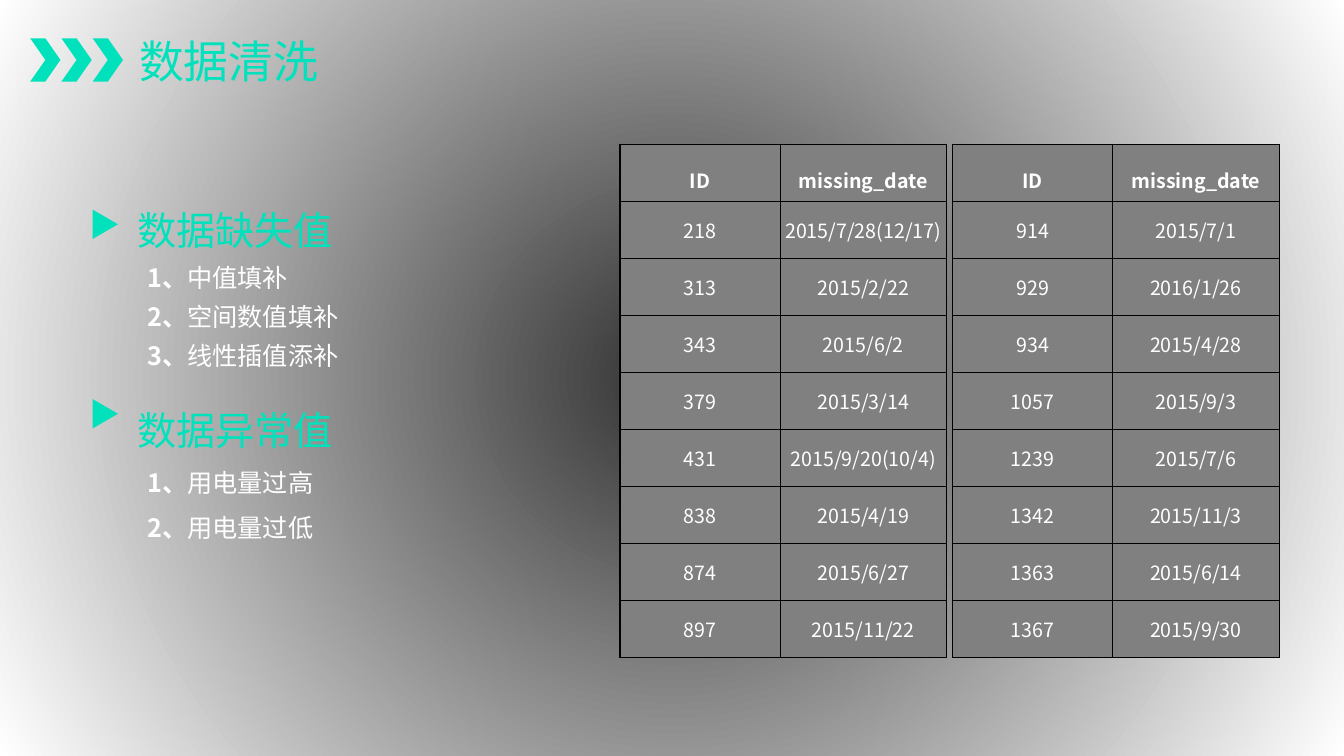
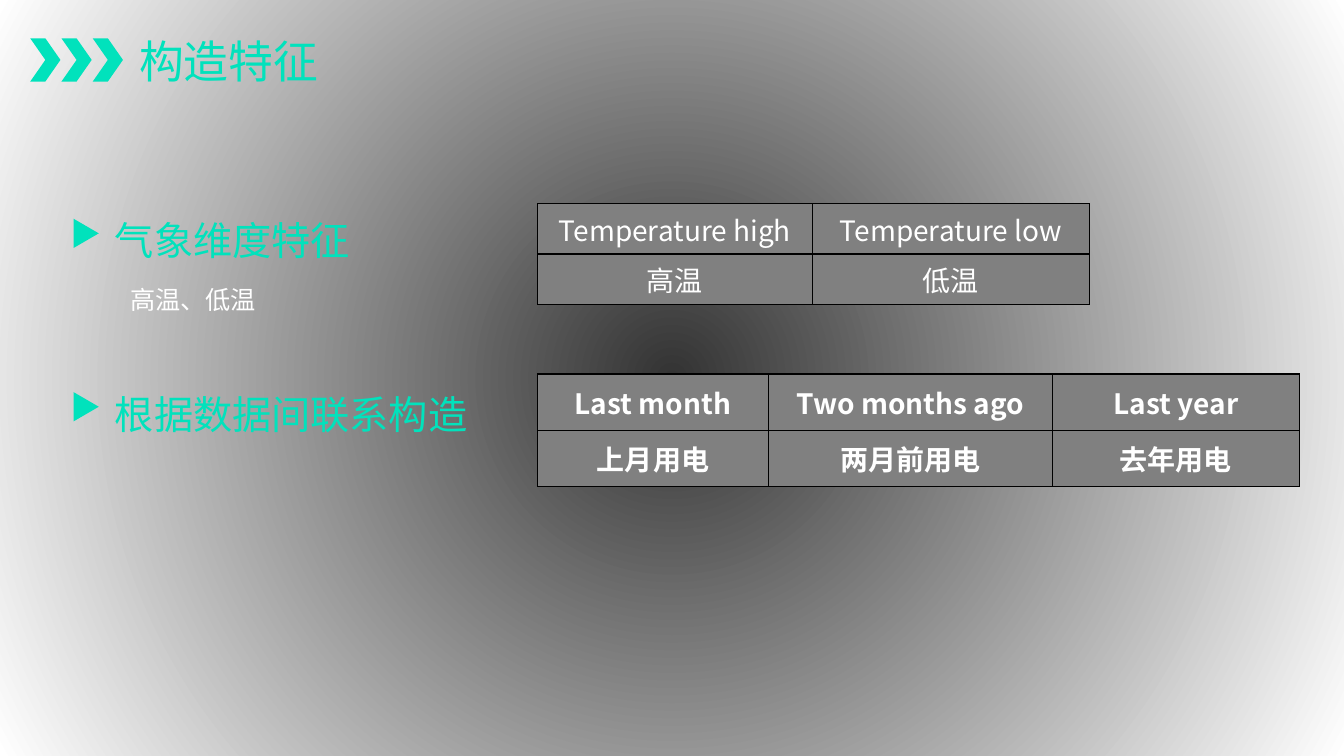
"""Build two slides on data cleaning and feature construction."""
from lxml.etree import SubElement
from pptx import Presentation
from pptx.dml.color import RGBColor
from pptx.enum.shapes import MSO_SHAPE as Preset
from pptx.enum.text import MSO_ANCHOR as Anchor, MSO_AUTO_SIZE as AutoSize, PP_ALIGN as Align
from pptx.oxml import parse_xml
from pptx.oxml.ns import nsdecls, qn
from pptx.util import Pt

COLUMNS, ROWS = 160, 90
UNIT = Pt(6)
ACCENT, WHITE, GRAY = "01E2BC", "FFFFFF", "808080"
HEADING_FONT, BODY_FONT = "Noto Sans CJK JP", "Noto Sans CJK SC"
color = RGBColor.from_string


def grid(*lengths):
    return [round(length * UNIT) for length in lengths]


def style(paragraph, size, hex_color, font_name, align=Align.LEFT, spacing=1.0, indent=0):
    properties = paragraph._p.get_or_add_pPr()
    properties.set("marL", str(grid(indent)[0]))
    properties.set("indent", "0")
    SubElement(properties, qn("a:buNone"))
    paragraph.alignment = align
    paragraph.line_spacing = spacing
    paragraph.space_before = Pt(0)
    font = paragraph.font
    font.size, font.name = Pt(size), font_name
    font.color.rgb = color(hex_color)
    SubElement(properties.find(qn("a:defRPr")), qn("a:ea"), typeface=font_name)


missing_columns = dict(top=17.16, widths=(19.08, 19.8), row=6.79, size=14,
                       bold_rows=1, header_spacing=1.5)
slides = [
    dict(
        title="数据清洗",
        sections=[
            dict(marker=(10.8, 25.2), text=(16.32, 24.78), heading="数据缺失值",
                 spacing=28, indent=1.2,
                 items=[("1、", "中值填补"), ("2、", "空间数值填补"), ("3、", "线性插值添补")]),
            dict(marker=(10.8, 47.76), text=(16.32, 48.6), heading="数据异常值",
                 spacing=32, indent=1.2,
                 items=[("1、", "用电量过高"), ("2、", "用电量过低")]),
        ],
        tables=[
            dict(missing_columns, left=73.8, cells=[
                ("ID", "missing_date"), ("218", "2015/7/28(12/17)"), ("313", "2015/2/22"),
                ("343", "2015/6/2"), ("379", "2015/3/14"), ("431", "2015/9/20(10/4)"),
                ("838", "2015/4/19"), ("874", "2015/6/27"), ("897", "2015/11/22")]),
            dict(missing_columns, left=113.4, cells=[
                ("ID", "missing_date"), ("914", "2015/7/1"), ("929", "2016/1/26"),
                ("934", "2015/4/28"), ("1057", "2015/9/3"), ("1239", "2015/7/6"),
                ("1342", "2015/11/3"), ("1363", "2015/6/14"), ("1367", "2015/9/30")]),
        ],
    ),
    dict(
        title="构造特征",
        sections=[
            dict(marker=(8.52, 26.28), text=(13.68, 25.98), heading="气象维度特征",
                 spacing=37, indent=1.8, items=[("", "高温、低温")]),
            dict(marker=(8.52, 46.92), text=(13.68, 46.68), heading="根据数据间联系构造",
                 spacing=37, indent=1.8, items=[]),
        ],
        tables=[
            dict(left=64, top=24.24, widths=(32.7, 33), row=6, size=20,
                 bold_rows=0, header_spacing=1.0,
                 cells=[("Temperature high", "Temperature low"), ("高温", "低温")]),
            dict(left=64, top=44.52, widths=(27.5, 33.8, 29.4), row=6.72, size=20,
                 bold_rows=2, header_spacing=1.0,
                 cells=[("Last month", "Two months ago", "Last year"),
                        ("上月用电", "两月前用电", "去年用电")]),
        ],
    ),
]

presentation = Presentation()
presentation.slide_width, presentation.slide_height = grid(COLUMNS, ROWS)

background = presentation.slide_master.background.fill
background.gradient()
for stop, hex_color in zip(background.gradient_stops, ("333333", WHITE)):
    stop.color.rgb = color(hex_color)
gradient = presentation.slide_master._element.find(".//" + qn("a:gradFill"))
gradient.replace(gradient.find(qn("a:lin")), parse_xml(
    f'<a:path {nsdecls("a")} path="circle">'
    '<a:fillToRect l="50000" t="50000" r="50000" b="50000"/></a:path>'))

for content in slides:
    slide = presentation.slides.add_slide(presentation.slide_layouts[3])
    title, *bodies = slide.placeholders
    title.left, title.top, title.width, title.height = grid(16.56, 3.36, 56, 7.68)
    title.text_frame.text = content["title"]
    title.text_frame.vertical_anchor = Anchor.MIDDLE
    title.text_frame.auto_size = AutoSize.NONE
    title.text_frame.margin_left = 0
    style(title.text_frame.paragraphs[0], 32, ACCENT, HEADING_FONT)

    symbols = [(Preset.CHEVRON, 3.6 + 3.72 * index, 4.56, 3.6, 5.16, 0) for index in range(3)]
    symbols += [(Preset.ISOSCELES_TRIANGLE, *section["marker"], 3.48, 3, 90)
                for section in content["sections"]]
    for preset, left, top, width, height, rotation in symbols:
        symbol = slide.shapes.add_shape(preset, *grid(left, top, width, height))
        symbol.rotation = rotation
        symbol.shadow.inherit = False
        symbol.fill.solid()
        symbol.fill.fore_color.rgb = color(ACCENT)
        symbol.line.fill.background()

    for body, section in zip(bodies, content["sections"]):
        body.left, body.top, body.width, body.height = grid(*section["text"], 46, 22)
        frame = body.text_frame
        frame.auto_size = AutoSize.NONE
        frame.vertical_anchor = Anchor.TOP
        frame.margin_left = frame.margin_top = frame.margin_right = frame.margin_bottom = 0
        frame.text = section["heading"]
        style(frame.paragraphs[0], 28, ACCENT, HEADING_FONT, spacing=Pt(32))
        for number, label in section["items"]:
            paragraph = frame.add_paragraph()
            style(paragraph, 18, WHITE, BODY_FONT,
                  spacing=Pt(section["spacing"]), indent=section["indent"])
            if number:
                number_run = paragraph.add_run()
                number_run.text = number
                number_run.font.bold = True
            paragraph.add_run().text = label

    for data in content["tables"]:
        cells, widths = data["cells"], data["widths"]
        table = slide.shapes.add_table(
            len(cells), len(widths),
            *grid(data["left"], data["top"], sum(widths), data["row"] * len(cells))).table
        table.first_row = table.horz_banding = False
        for column, width in zip(table.columns, grid(*widths)):
            column.width = width
        for row_index, values in enumerate(cells):
            for column_index, value in enumerate(values):
                cell = table.cell(row_index, column_index)
                cell.text = value
                cell.vertical_anchor = Anchor.MIDDLE
                cell.margin_left = cell.margin_right = cell.margin_top = cell.margin_bottom = 0
                cell.fill.solid()
                cell.fill.fore_color.rgb = color(GRAY)
                paragraph = cell.text_frame.paragraphs[0]
                style(paragraph, data["size"], WHITE, BODY_FONT, Align.CENTER,
                      1.0 if row_index else data["header_spacing"])
                paragraph.font.bold = row_index < data["bold_rows"]
                for position, side in enumerate("LRTB"):
                    cell._tc.get_or_add_tcPr().insert(position, parse_xml(
                        f'<a:ln{side} {nsdecls("a")} w="12700"><a:solidFill>'
                        f'<a:srgbClr val="000000"/></a:solidFill></a:ln{side}>'))

presentation.save("out.pptx")
